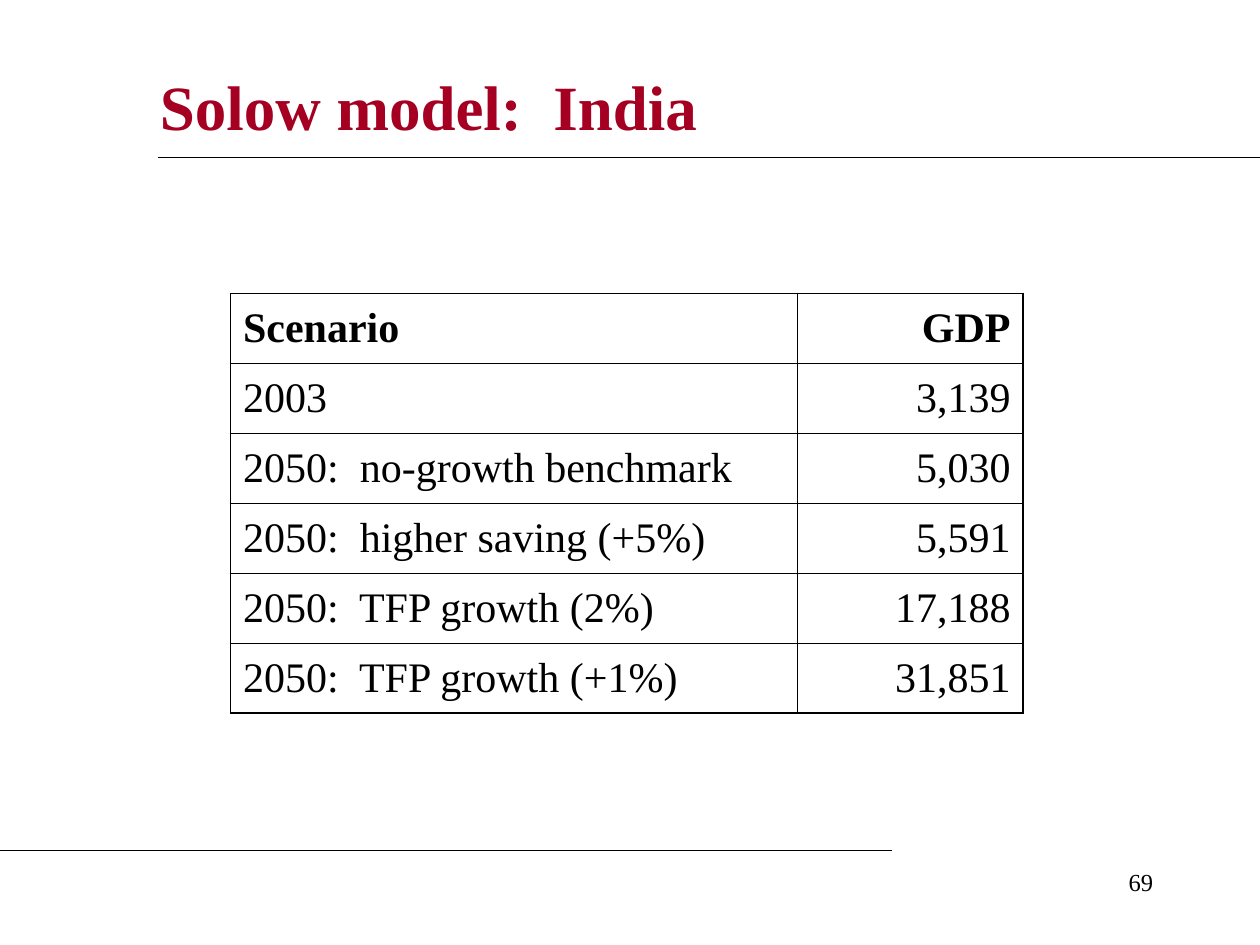
from lxml import etree
from pptx import Presentation
from pptx import util as u
from pptx.dml.color import RGBColor
from pptx.enum import shapes, text
from pptx.oxml.ns import qn

COLORS = {"title": "A50021", "ink": "000000"}
FONT = "Times New Roman"
OUTER, INNER = 1.08, 0.45  # table border widths in points

SCENARIOS = [
    ("Scenario", "GDP"),
    ("2003", "3,139"),
    ("2050:  no-growth benchmark", "5,030"),
    ("2050:  higher saving (+5%)", "5,591"),
    ("2050:  TFP growth (2%)", "17,188"),
    ("2050:  TFP growth (+1%)", "31,851"),
]
COLUMN_WIDTHS = [4.5, 1.79]
ROW_HEIGHT = 3.33 / len(SCENARIOS)


def write(frame, words, size, color="ink", bold=False, align=text.PP_ALIGN.LEFT):
    paragraph = frame.paragraphs[0]
    paragraph.alignment = align
    run = paragraph.add_run()
    run.text = words
    run.font.name = FONT
    run.font.size = u.Pt(size)
    run.font.bold = bold
    run.font.color.rgb = RGBColor.from_string(COLORS[color])


def add_text(slide, box, words, size, anchor=text.MSO_ANCHOR.TOP, **style):
    frame = slide.shapes.add_textbox(*map(u.Inches, box)).text_frame
    frame.word_wrap = True
    frame.vertical_anchor = anchor
    write(frame, words, size, **style)


def add_rule(slide, start, end, y):
    rule = slide.shapes.add_connector(
        shapes.MSO_CONNECTOR.STRAIGHT,
        u.Inches(start), u.Inches(y), u.Inches(end), u.Inches(y))
    rule.line.color.rgb = RGBColor.from_string(COLORS["ink"])
    rule.line.width = u.Pt(0.75)
    etree.SubElement(rule._element.spPr, qn("a:effectLst"))


def set_borders(cell, widths):
    properties = cell._tc.get_or_add_tcPr()
    for position, (side, width) in enumerate(widths.items()):
        border = etree.Element(qn(f"a:ln{side}"), w=str(int(u.Pt(width))))
        fill = etree.SubElement(border, qn("a:solidFill"))
        etree.SubElement(fill, qn("a:srgbClr"), val=COLORS["ink"])
        properties.insert(position, border)


def add_gdp_table(slide, left, top):
    last_row, last_column = len(SCENARIOS) - 1, len(COLUMN_WIDTHS) - 1
    table = slide.shapes.add_table(
        len(SCENARIOS), len(COLUMN_WIDTHS), u.Inches(left), u.Inches(top),
        u.Inches(sum(COLUMN_WIDTHS)), u.Inches(ROW_HEIGHT * len(SCENARIOS))).table
    table.horz_banding = False
    for column, width in zip(table.columns, COLUMN_WIDTHS):
        column.width = u.Inches(width)
    for r, scenario in enumerate(SCENARIOS):
        table.rows[r].height = u.Inches(ROW_HEIGHT)
        for c, words in enumerate(scenario):
            cell = table.cell(r, c)
            cell.fill.background()
            cell.vertical_anchor = text.MSO_ANCHOR.MIDDLE
            write(cell.text_frame, words, 24, bold=r == 0,
                  align=text.PP_ALIGN.RIGHT if c else text.PP_ALIGN.LEFT)
            set_borders(cell, {
                "L": OUTER if c == 0 else INNER,
                "R": OUTER if c == last_column else INNER,
                "T": OUTER if r == 0 else INNER,
                "B": OUTER if r == last_row else INNER,
            })


def main():
    deck = Presentation()
    deck.slide_width, deck.slide_height = u.Inches(10), u.Inches(7.5)
    slide = deck.slides.add_slide(deck.slide_layouts[6])

    # Title and rules
    add_text(slide, (1.17, 0.42, 8.08, 0.83), "Solow model:  India", 36,
             anchor=text.MSO_ANCHOR.MIDDLE, color="title", bold=True)
    add_rule(slide, 1.25, 10, 1.25)
    add_rule(slide, 0, 7.08, 6.75)

    # GDP by scenario
    add_gdp_table(slide, 1.83, 2.33)

    # Page number
    add_text(slide, (7.17, 6.83, 2.08, 0.5), "69", 14, align=text.PP_ALIGN.RIGHT)

    deck.save("out.pptx")


if __name__ == "__main__":
    main()
